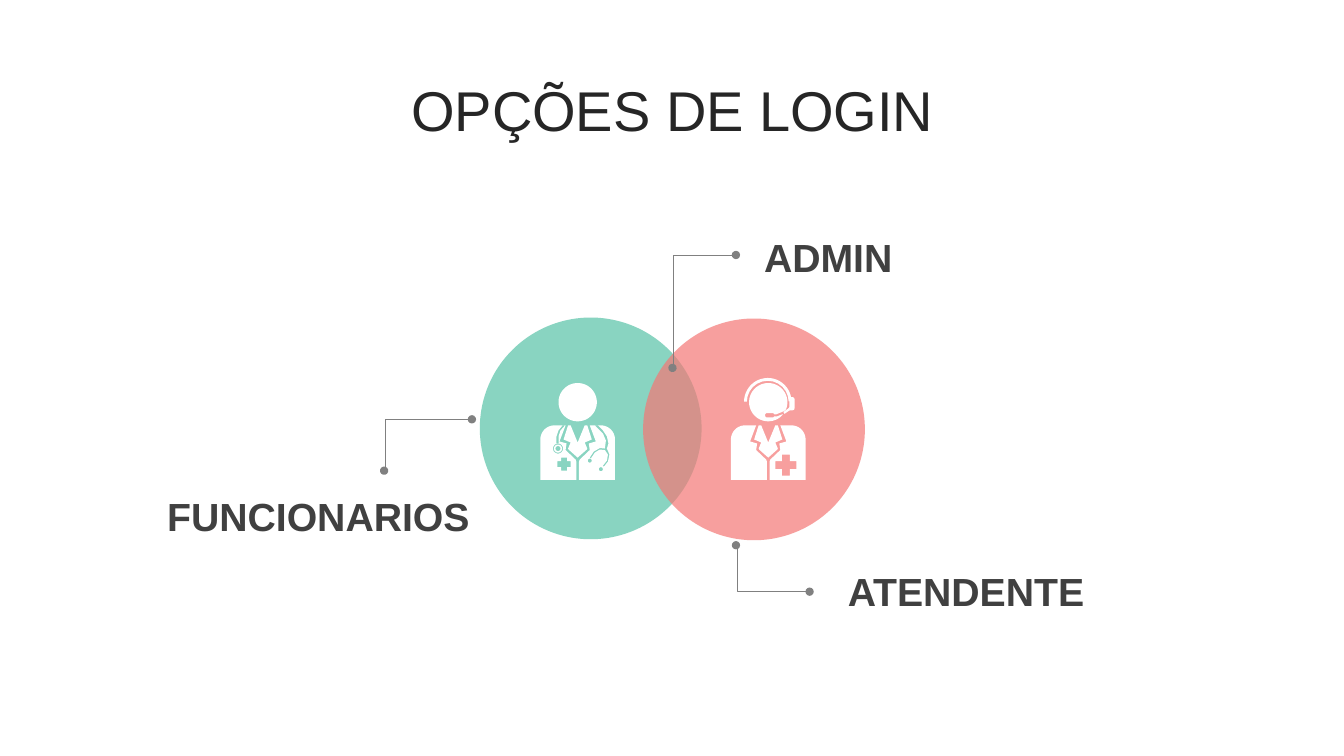
from dataclasses import dataclass
from math import cos, radians, sin

from lxml import etree
from pptx import Presentation, util as u
from pptx.dml.color import RGBColor
from pptx.enum import shapes, text
from pptx.oxml.ns import qn

WIDTH, HEIGHT = u.Inches(13.33), u.Inches(7.5)
WHITE, GREY, INK, LABEL_INK = "FFFFFF", "808080", "262626", "404040"
KIND = shapes.MSO_SHAPE
ICON_TOP = 50.67
ICON_UNIT = u.Inches(0.01)
Points = list[tuple[float, float]]


@dataclass(frozen=True)
class Box:
    """Place and size in hundredths of the slide's width and height."""
    left: float
    top: float
    width: float
    height: float

    def emu(self) -> tuple[int, ...]:
        return col(self.left), row(self.top), col(self.width), row(self.height)


@dataclass(frozen=True)
class Role:
    label: str
    left: float
    top: float
    start: tuple[float, float]
    end: tuple[float, float]
    bend: float


@dataclass(frozen=True)
class Part:
    kind: int
    box: Box
    color: str = WHITE
    opacity: int = 100
    adjust: tuple[float, ...] = ()
    turn: float = 0


ROLES = [
    Role("ADMIN", 56.11, 30.27, (54.76, 33.73), (50.04, 48.67), 0.99),
    Role("ATENDENTE", 62.34, 74.4, (60.24, 78.27), (54.76, 72.13), 0.98),
    Role("FUNCIONARIOS", 11.7, 64.53, (28.58, 62.27), (35.11, 55.47), 0.01),
]
CIRCLES = [
    Part(KIND.OVAL, Box(35.7, 42, 16.5, 29.33), "57C3A7", 70),
    Part(KIND.OVAL, Box(47.85, 42.13, 16.5, 29.33), "F47775", 70),
]
HEADSET = [
    Part(KIND.BLOCK_ARC, Box(55.36, 50, 3.53, 6.27), adjust=(108, 215.41, 0.06)),
    Part(KIND.ROUND_2_SAME_RECTANGLE, Box(58.44, 53.07, 0.98, 0.67),
         adjust=(0.4, 0), turn=90),
    Part(KIND.BLOCK_ARC, Box(55.21, 47.6, 4.28, 7.6), adjust=(24.82, 36.97, 0.04)),
]


def col(share: float) -> int:
    return round(WIDTH * share / 100)


def row(share: float) -> int:
    return round(HEIGHT * share / 100)


def rgb(color: str) -> RGBColor:
    return RGBColor.from_string(color)


def arc(x: float, y: float, radius: float, start: int = 0, end: int = 360) -> Points:
    return [(x + radius * cos(radians(a)), y + radius * sin(radians(a)))
            for a in range(start, end + 1, 6)]


def mirror(points: Points) -> Points:
    """Reflect across the middle of an icon, in reverse order."""
    return [(74 - x, y) for x, y in reversed(points)]


def cross(x: float, y: float, reach: float, arm: float) -> Points:
    quarter = [(arm, -reach), (arm, -arm), (reach, -arm)]
    turns = [(1, 0), (0, 1), (-1, 0), (0, -1)]
    return [(x + c * px - s * py, y + s * px + c * py)
            for c, s in turns for px, py in quarter]


# Icon outlines, in hundredths of an inch from the icon's corner
HALF_COAT = [(25, 42), (19, 58), (26, 60), (25, 66.5), (35, 76), (35.7, 78),
             (35.7, 96), (0, 96), *arc(14, 56, 14, 180, 270)]
HALF_COLLAR = [(37, 74), (28, 66), (27.5, 65), (30, 59), (23, 56), (27.5, 42),
               (30, 42), (37, 59)]
COAT = [HALF_COAT, mirror(HALF_COAT), HALF_COLLAR + mirror(HALF_COLLAR)]
EAR_TUBE = [(22, 42), (18, 47), (16, 53), (16, 60), (18, 60), (18, 53), (20, 47),
            (24.5, 42)]
CHEST_TUBE = [(54, 42), (62, 50), (65, 57), (64, 65), (59, 64.5), (53, 68), (49, 74),
              (50, 75), (54, 69), (59, 66), (64, 66.5), (67, 71), (66, 77), (62, 82),
              (63, 83), (67, 78), (68.5, 71), (66, 65), (67.5, 60), (66, 53),
              (62, 47), (57, 42)]
DOCTOR = [*COAT, arc(37, 19, 19), cross(23.5, 80.5, 6.5, 3), EAR_TUBE,
          *(arc(17.5, 65, r) for r in (5, 4, 2.5)), CHEST_TUBE,
          arc(49, 77, 2), arc(60, 85.5, 2)]
MICROPHONE = [(54, 27), (50, 29), (45, 31), (43, 31), (42, 30), (35, 30), (34, 31),
              (34, 33), (35, 34), (42, 34), (43, 33), (46, 33), (51, 31)]
ATTENDANT = [*COAT, arc(37, 19, 19, 40, 382) + MICROPHONE, cross(54.5, 81.5, 10.5, 4)]


def paint(shape, color: str, opacity: int = 100) -> None:
    shape.shadow.inherit = False
    shape.fill.solid()
    shape.fill.fore_color.rgb = rgb(color)
    shape.line.fill.background()
    if opacity < 100:
        tint = shape.element.spPr.find(".//" + qn("a:srgbClr"))
        etree.SubElement(tint, qn("a:alpha"), val=str(opacity * 1000))


def draw_part(slide, part: Part) -> None:
    shape = slide.shapes.add_shape(part.kind, *part.box.emu())
    for i, value in enumerate(part.adjust):
        shape.adjustments[i] = value
    shape.rotation = part.turn
    paint(shape, part.color, part.opacity)


def draw_icon(slide, left: float, outlines: list[Points]) -> None:
    """Join outlines into one white shape; an outline inside another is a hole."""
    scaled = [[(round(x * ICON_UNIT), round(y * ICON_UNIT)) for x, y in outline]
              for outline in outlines]
    builder = slide.shapes.build_freeform(*scaled[0][0])
    for i, (first, *rest) in enumerate(scaled):
        if i:
            builder.move_to(*first)
        builder.add_line_segments(rest, close=True)
    paint(builder.convert_to_shape(col(left), row(ICON_TOP)), WHITE)


def write(frame, words: str, size: int, color: str, bold: bool) -> None:
    frame.text = words
    font = frame.paragraphs[0].runs[0].font
    formats = {"name": "Arial", "size": u.Pt(size), "bold": bold}
    for key, value in formats.items():
        setattr(font, key, value)
    font.color.rgb = rgb(color)


def draw_title(slide) -> None:
    title = slide.shapes.title
    places = Box(2.55, 9.73, 94.97, 10.53).emu()
    for key, value in zip(("left", "top", "width", "height"), places):
        setattr(title, key, value)
    frame = title.text_frame
    write(frame, "OPÇÕES DE LOGIN", 40, INK, False)
    frame.auto_size = text.MSO_AUTO_SIZE.NONE
    frame.vertical_anchor = text.MSO_ANCHOR.MIDDLE
    formats = {"alignment": text.PP_ALIGN.CENTER, "line_spacing": 0.9,
               "space_before": u.Pt(10)}
    for key, value in formats.items():
        setattr(frame.paragraphs[0], key, value)


def draw_role(slide, role: Role) -> None:
    (x1, y1), (x2, y2) = role.start, role.end
    leader = slide.shapes.add_connector(
        shapes.MSO_CONNECTOR.ELBOW, col(x1), row(y1), col(x2), row(y2))
    leader.line.width = u.Pt(0.5)
    leader.line.color.rgb = rgb(GREY)
    properties = leader.element.spPr
    bends = properties.find(qn("a:prstGeom")).get_or_add_avLst()
    etree.SubElement(bends, qn("a:gd"), name="adj1",
                     fmla=f"val {round(role.bend * 100000)}")
    stroke = properties.find(qn("a:ln"))
    for tip in ("a:headEnd", "a:tailEnd"):
        etree.SubElement(stroke, qn(tip), type="oval")
    etree.SubElement(properties, qn("a:effectLst"))

    label = slide.shapes.add_textbox(*Box(role.left, role.top, 33.98, 7.6).emu())
    label.text_frame.word_wrap = True
    label.text_frame.auto_size = text.MSO_AUTO_SIZE.SHAPE_TO_FIT_TEXT
    write(label.text_frame, role.label, 28, LABEL_INK, True)


def main() -> None:
    deck = Presentation()
    deck.slide_width, deck.slide_height = WIDTH, HEIGHT
    slide = deck.slides.add_slide(deck.slide_layouts[5])
    draw_title(slide)
    for circle in CIRCLES:
        draw_part(slide, circle)
    for role in ROLES:
        draw_role(slide, role)
    draw_icon(slide, 40.21, DOCTOR)
    draw_icon(slide, 54.39, ATTENDANT)
    for part in HEADSET:
        draw_part(slide, part)
    deck.save("out.pptx")


if __name__ == "__main__":
    main()
